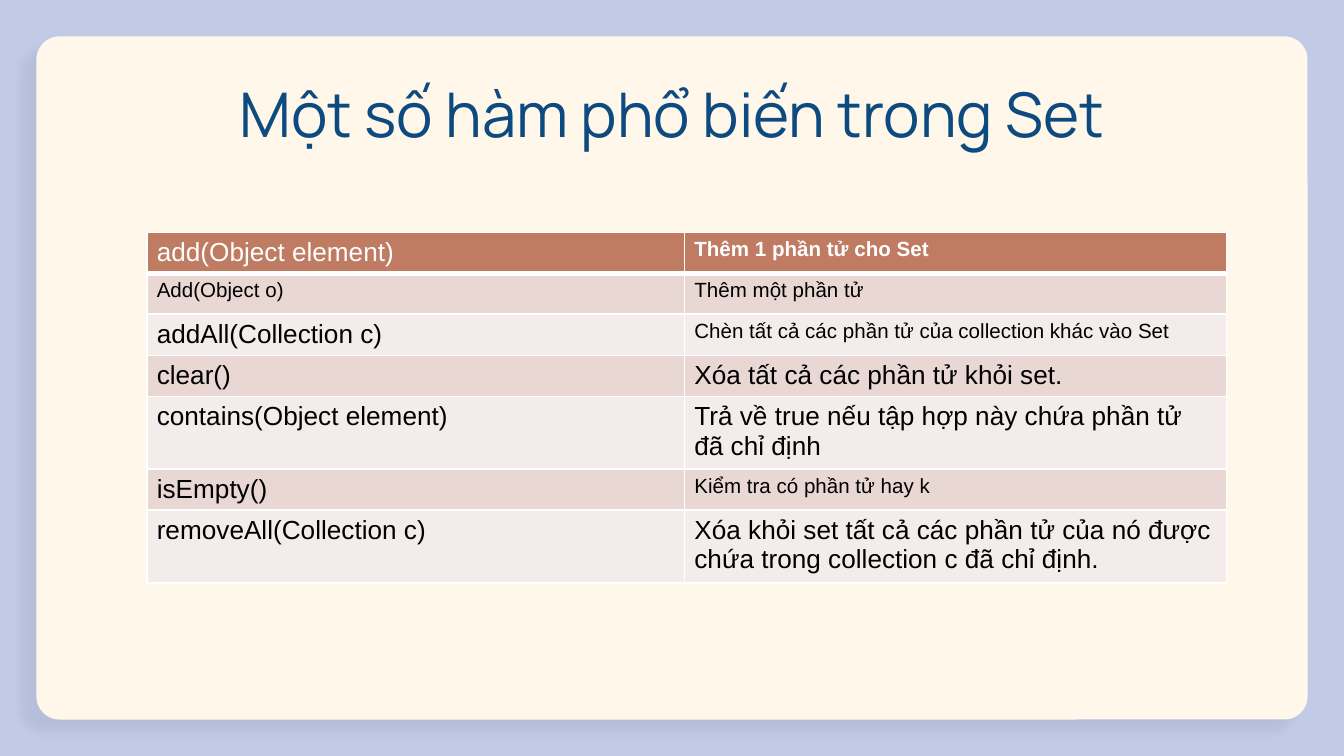
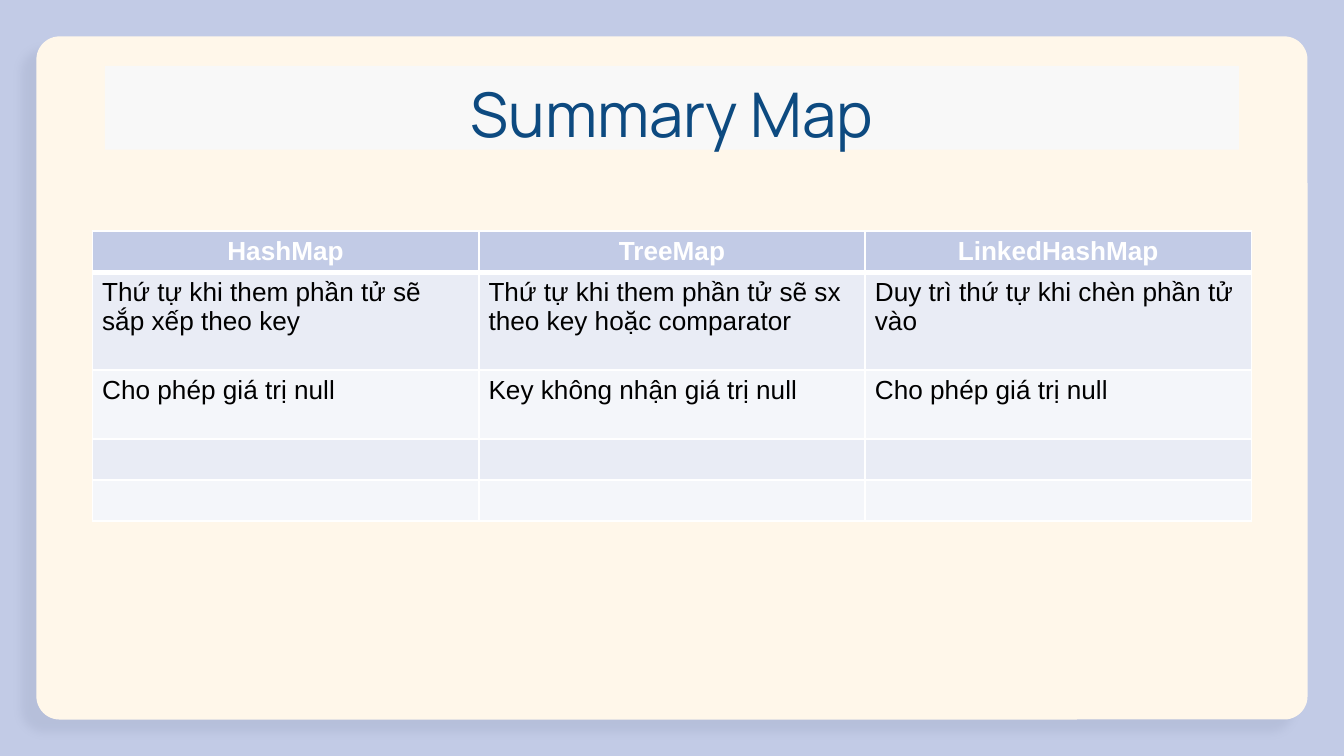
"""Build two slides on Java collections, each a titled card with a table."""
import lxml.etree
import pptx
import pptx.dml.color
import pptx.enum.shapes
import pptx.enum.text
import pptx.oxml.ns
import pptx.util

RGB = pptx.dml.color.RGBColor
ALIGN = pptx.enum.text.PP_ALIGN
qn = pptx.oxml.ns.qn

PX = 9525
PERIWINKLE = RGB(0xC2, 0xCB, 0xE6)
CREAM = RGB(0xFF, 0xF7, 0xEA)
SLATE = RGB(0x51, 0x5B, 0x7A)
NAVY = RGB(0x0D, 0x4A, 0x80)
PALE_GREY = RGB(0xF8, 0xF8, 0xF8)
WHITE = RGB(0xFF, 0xFF, 0xFF)
BLACK = RGB(0x00, 0x00, 0x00)
CLAY_FILLS = RGB(0xBF, 0x7C, 0x63), RGB(0xE8, 0xD7, 0xD3), RGB(0xF4, 0xEC, 0xEA)
BLUE_FILLS = PERIWINKLE, RGB(0xE9, 0xEC, 0xF5), RGB(0xF4, 0xF6, 0xFA)

TITLE = {"name": "Manrope", "size": pptx.util.Pt(33)}
BODY = {"name": "Arial", "size": pptx.util.Pt(14), "bold": False}
SMALL = {"size": pptx.util.Pt(11)}
BOLD = {"bold": True}
MARGINS = {"margin_left": 7 * PX, "margin_right": 7 * PX,
           "margin_top": 4 * PX, "margin_bottom": 3 * PX}
NO_MARGINS = dict.fromkeys(MARGINS, 0)

SET_ROWS = [
    ["add(Object element)", ("Thêm 1 phần tử cho Set", SMALL | BOLD)],
    [("Add(Object o)", SMALL), ("Thêm một phần tử", SMALL)],
    ["addAll(Collection c)",
     ("Chèn tất cả các phần tử của collection khác vào Set", SMALL)],
    ["clear()", "Xóa tất cả các phần tử khỏi set."],
    ["contains(Object element)",
     "Trả về true nếu tập hợp này chứa phần tử đã chỉ định"],
    ["isEmpty()", ("Kiểm tra có phần tử hay k", SMALL)],
    ["removeAll(Collection c)",
     "Xóa khỏi set tất cả các phần tử của nó được chứa trong collection c đã chỉ định."],
]
MAP_ROWS = [
    [(name, BOLD) for name in ("HashMap", "TreeMap", "LinkedHashMap")],
    ["Thứ tự khi them phần tử sẽ sắp xếp theo key",
     "Thứ tự khi them phần tử sẽ sx theo key hoặc comparator",
     "Duy trì thứ tự khi chèn phần tử vào"],
    ["Cho phép giá trị null", "Key không nhận giá trị null", "Cho phép giá trị null"],
    [""] * 3,
    [""] * 3,
]


def apply(obj, values):
    for name, value in values.items():
        setattr(obj, name, value)


def add_xml(parent, tag, **attrs):
    return lxml.etree.SubElement(parent, qn(tag), attrs)


class Deck:
    def __init__(self):
        self.prs = pptx.Presentation()
        apply(self.prs, {"slide_width": 960 * PX, "slide_height": 540 * PX})
        self.s = None

    def slide(self):
        self.s = self.prs.slides.add_slide(self.prs.slide_layouts[6])
        fill = self.s.background.fill
        fill.solid()
        fill.fore_color.rgb = PERIWINKLE
        self.card()

    def card(self):
        box = (v * PX for v in (26, 26, 908, 488))
        sp = self.s.shapes.add_shape(
            pptx.enum.shapes.MSO_SHAPE.ROUNDED_RECTANGLE, *box)
        sp.adjustments[0] = 0.034
        sp.fill.solid()
        sp.fill.fore_color.rgb = CREAM
        sp.line.fill.background()
        sp.shadow.inherit = False
        effects = sp._element.spPr.find(qn("a:effectLst"))
        shadow = add_xml(effects, "a:outerShdw", blurRad="57150", dist="133350",
                         dir="8220000", algn="bl", rotWithShape="0")
        color = add_xml(shadow, "a:srgbClr", val=str(SLATE))
        add_xml(color, "a:alpha", val="10000")

    def text(self, p, text, fmt, color, align=None):
        p.alignment = align
        if not text:
            add_xml(p._p, "a:endParaRPr", sz=str(int(fmt["size"].pt * 100)))
            return
        r = p.add_run()
        r.text = text
        apply(r.font, fmt)
        r.font.color.rgb = color

    def title(self, text, fill=None):
        sp = self.s.shapes.add_textbox(*(v * PX for v in (75, 47, 810, 60)))
        if fill:
            sp.fill.solid()
            sp.fill.fore_color.rgb = fill
        tf = sp.text_frame
        apply(tf, NO_MARGINS | {"word_wrap": True,
                                "vertical_anchor": pptx.enum.text.MSO_ANCHOR.BOTTOM})
        self.text(tf.paragraphs[0], text, TITLE, NAVY, ALIGN.CENTER)

    def borders(self, cell, row):
        widths = {"L": 1, "R": 1, "T": 3 if row == 1 else 1, "B": 3 if row == 0 else 1}
        tcPr = cell._tc.get_or_add_tcPr()
        for side, width in widths.items():
            ln = add_xml(tcPr, "a:ln" + side, w=str(int(pptx.util.Pt(width))))
            add_xml(add_xml(ln, "a:solidFill"), "a:srgbClr", val=str(WHITE))

    def table(self, left, top, widths, heights, rows, fills, header_align=None):
        box = (v * PX for v in (left, top, sum(widths), sum(heights)))
        tbl = self.s.shapes.add_table(len(rows), len(widths), *box).table
        apply(tbl, {"first_row": False, "horz_banding": False})
        for col, width in zip(tbl.columns, widths):
            col.width = width * PX
        for i, (row, height) in enumerate(zip(rows, heights)):
            tbl.rows[i].height = height * PX
            for j, item in enumerate(row):
                text, fmt = item if isinstance(item, tuple) else (item, {})
                cell = tbl.cell(i, j)
                apply(cell, MARGINS)
                self.borders(cell, i)
                cell.fill.solid()
                cell.fill.fore_color.rgb = fills[2 - i % 2 if i else 0]
                self.text(cell.text_frame.paragraphs[0], text, BODY | fmt,
                          BLACK if i else WHITE, None if i else header_align)


def main():
    deck = Deck()
    deck.slide()
    deck.title("Một số hàm phổ biến trong Set")
    deck.table(105, 166, [384, 387], [29, 29, 29, 29, 50, 29, 50],
               SET_ROWS, CLAY_FILLS)
    deck.slide()
    deck.title("Summary Map", PALE_GREY)
    deck.table(66, 165, [276] * 3, [29, 70, 49, 29, 29],
               MAP_ROWS, BLUE_FILLS, ALIGN.CENTER)
    deck.prs.save("out.pptx")


if __name__ == "__main__":
    main()
